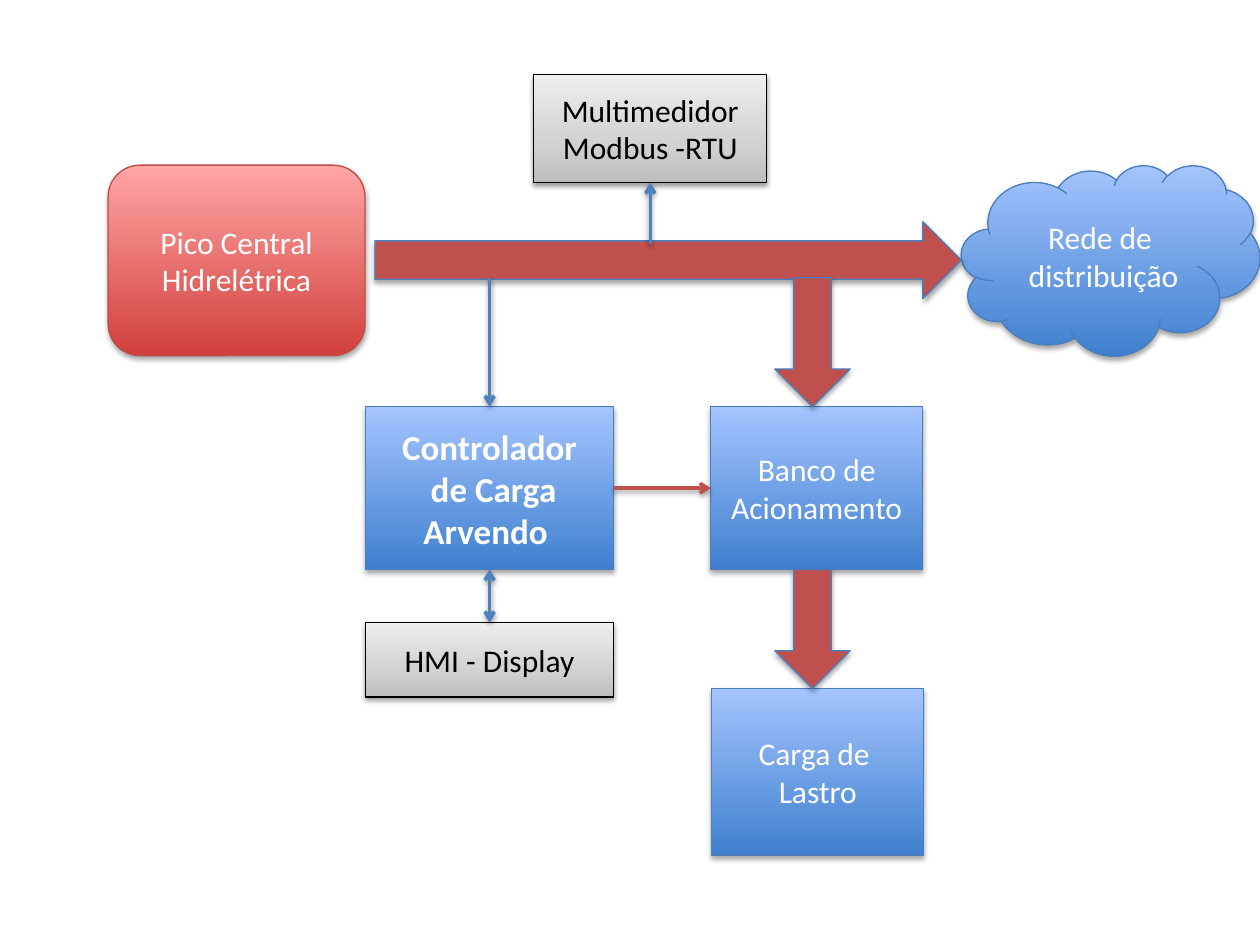
from copy import deepcopy
from dataclasses import dataclass

from lxml import etree
from pptx import Presentation
from pptx.dml.color import RGBColor
from pptx.enum.shapes import MSO_CONNECTOR, MSO_SHAPE
from pptx.enum.text import MSO_ANCHOR, PP_ALIGN
from pptx.oxml.ns import qn
from pptx.util import Cm, Pt

RECTANGLE = MSO_SHAPE.RECTANGLE
ROUNDED = MSO_SHAPE.ROUNDED_RECTANGLE
CLOUD = MSO_SHAPE.CLOUD
RIGHT_ARROW = MSO_SHAPE.RIGHT_ARROW
DOWN_ARROW = MSO_SHAPE.DOWN_ARROW
STRAIGHT = MSO_CONNECTOR.STRAIGHT
MIDDLE = MSO_ANCHOR.MIDDLE
CENTER = PP_ALIGN.CENTER

FONT = "Calibri"
COLORS = {
    "white": "FFFFFF",
    "black": "000000",
    "blue_border": "4B7EBC",
    "red_border": "BF4C48",
    "power": "C0504D",
    "signal": "4F81BD",
}


@dataclass(frozen=True)
class Style:
    stops: tuple[tuple[int, str], ...]
    border: str
    text: str
    shadow_alpha: int = 35
    shadow_distance: float = 1.8


@dataclass(frozen=True)
class Block:
    left: float
    top: float
    width: float
    height: float
    lines: tuple[str, ...]
    style: Style
    geometry: int = RECTANGLE
    size: int = 18
    bold: bool = False

    @property
    def right(self) -> float:
        return self.left + self.width

    @property
    def bottom(self) -> float:
        return self.top + self.height

    @property
    def center(self) -> float:
        return self.left + self.width / 2

    @property
    def middle(self) -> float:
        return self.top + self.height / 2


@dataclass(frozen=True)
class PowerFlow:
    geometry: int
    left: float
    top: float
    width: float
    height: float


@dataclass(frozen=True)
class Link:
    start: tuple[float, float]
    end: tuple[float, float]
    color: str = "signal"
    both_ways: bool = False


GRAY = Style(((0, "BDBDBD"), (35, "D1D1D1"), (100, "EEEEEE")), "black", "black", 38, 1.6)
BLUE = Style(((0, "3F80CE"), (100, "A4C4FF")), "blue_border", "white")
RED = Style(((0, "D1403C"), (100, "FFA6A5")), "red_border", "white")

METER = Block(10.76, 1.5, 4.7, 2.18, ("Multimedidor", "Modbus -RTU"), GRAY)
CONTROLLER = Block(7.37, 8.2, 5, 3.28, ("Controlador", " de Carga", "Arvendo "), BLUE, size=20, bold=True)
PLANT = Block(2.18, 3.33, 5.18, 3.84, ("Pico Central Hidrelétrica",), RED, ROUNDED)
DISPLAY = Block(7.37, 12.55, 5, 1.5, ("HMI - Display",), GRAY)
GRID = Block(19.38, 3.33, 6.02, 3.84, ("Rede de", " distribuição"), BLUE, CLOUD)
DRIVE = Block(14.33, 8.2, 4.27, 3.28, ("Banco de Acionamento",), BLUE)
BALLAST = Block(14.35, 13.88, 4.27, 3.36, ("Carga de ", "Lastro"), BLUE)
BLOCKS = (METER, CONTROLLER, PLANT, DISPLAY, GRID, DRIVE, BALLAST)

BUS_TOP, BUS_BOTTOM = 4.92, 5.6
FLOW_LEFT, FLOW_WIDTH = 15.62, 1.52
FLOWS = (
    PowerFlow(RIGHT_ARROW, 7.56, 4.47, GRID.left - 7.56, 1.55),
    PowerFlow(DOWN_ARROW, FLOW_LEFT, BUS_BOTTOM, FLOW_WIDTH, DRIVE.top - BUS_BOTTOM),
    PowerFlow(DOWN_ARROW, FLOW_LEFT, DRIVE.bottom, FLOW_WIDTH, BALLAST.top - DRIVE.bottom),
)
LINKS = (
    Link((CONTROLLER.center, BUS_BOTTOM), (CONTROLLER.center, CONTROLLER.top)),
    Link((CONTROLLER.right, CONTROLLER.middle), (DRIVE.left, DRIVE.middle), "power"),
    Link((CONTROLLER.center, CONTROLLER.bottom), (DISPLAY.center, DISPLAY.top), both_ways=True),
    Link((METER.center, BUS_TOP), (METER.center, METER.bottom)),
)


def rgb(name: str) -> RGBColor:
    return RGBColor.from_string(COLORS[name])


def add_shadow(effects, alpha: int, distance: float) -> None:
    shadow = etree.SubElement(
        effects, qn("a:outerShdw"), blurRad=str(Pt(3.1)), dist=str(Pt(distance)),
        dir="5400000", rotWithShape="0",
    )
    color = etree.SubElement(shadow, qn("a:srgbClr"), val=COLORS["black"])
    etree.SubElement(color, qn("a:alpha"), val=str(alpha * 1000))


def finish_shape(shape, border: str, alpha: int = 35, distance: float = 1.8) -> None:
    shape.line.color.rgb = rgb(border)
    shape.line.width = Pt(0.75)
    shape.shadow.inherit = False
    add_shadow(shape._element.spPr.find(qn("a:effectLst")), alpha, distance)


def fill_gradient(shape, stops: tuple[tuple[int, str], ...]) -> None:
    shape.fill.gradient()
    shape.fill.gradient_angle = 90
    stop_list = next(shape._element.spPr.iter(qn("a:gsLst")))
    for _ in stops[2:]:
        stop_list.append(deepcopy(stop_list[0]))
    for stop, (position, color) in zip(shape.fill.gradient_stops, stops):
        stop.position = position / 100
        stop.color.rgb = RGBColor.from_string(color)


def add_block(slide, block: Block) -> None:
    shape = slide.shapes.add_shape(
        block.geometry, Cm(block.left), Cm(block.top), Cm(block.width), Cm(block.height)
    )
    style = block.style
    fill_gradient(shape, style.stops)
    finish_shape(shape, style.border, style.shadow_alpha, style.shadow_distance)
    frame = shape.text_frame
    frame.word_wrap = True
    frame.vertical_anchor = MIDDLE
    for index, line in enumerate(block.lines):
        paragraph = frame.add_paragraph() if index else frame.paragraphs[0]
        paragraph.alignment = CENTER
        run = paragraph.add_run()
        run.text = line
        run.font.name = FONT
        run.font.size = Pt(block.size)
        run.font.bold = block.bold
        run.font.color.rgb = rgb(style.text)


def add_flow(slide, flow: PowerFlow) -> None:
    arrow = slide.shapes.add_shape(
        flow.geometry, Cm(flow.left), Cm(flow.top), Cm(flow.width), Cm(flow.height)
    )
    arrow.fill.solid()
    arrow.fill.fore_color.rgb = rgb("power")
    finish_shape(arrow, "blue_border")


def add_link(slide, link: Link) -> None:
    ends = (Cm(value) for value in (*link.start, *link.end))
    connector = slide.shapes.add_connector(STRAIGHT, *ends)
    connector.line.color.rgb = rgb(link.color)
    connector.line.width = Pt(2)
    properties = connector._element.spPr
    outline = properties.find(qn("a:ln"))
    for tag in ("a:headEnd", "a:tailEnd") if link.both_ways else ("a:tailEnd",):
        etree.SubElement(outline, qn(tag), type="arrow")
    add_shadow(etree.SubElement(properties, qn("a:effectLst")), 38, 1.6)


def main() -> None:
    presentation = Presentation()
    presentation.slide_width = Cm(25.4)
    presentation.slide_height = Cm(19.05)
    slide = presentation.slides.add_slide(presentation.slide_layouts[6])
    for block in BLOCKS:
        add_block(slide, block)
    for flow in FLOWS:
        add_flow(slide, flow)
    for link in LINKS:
        add_link(slide, link)
    presentation.save("out.pptx")


if __name__ == "__main__":
    main()
